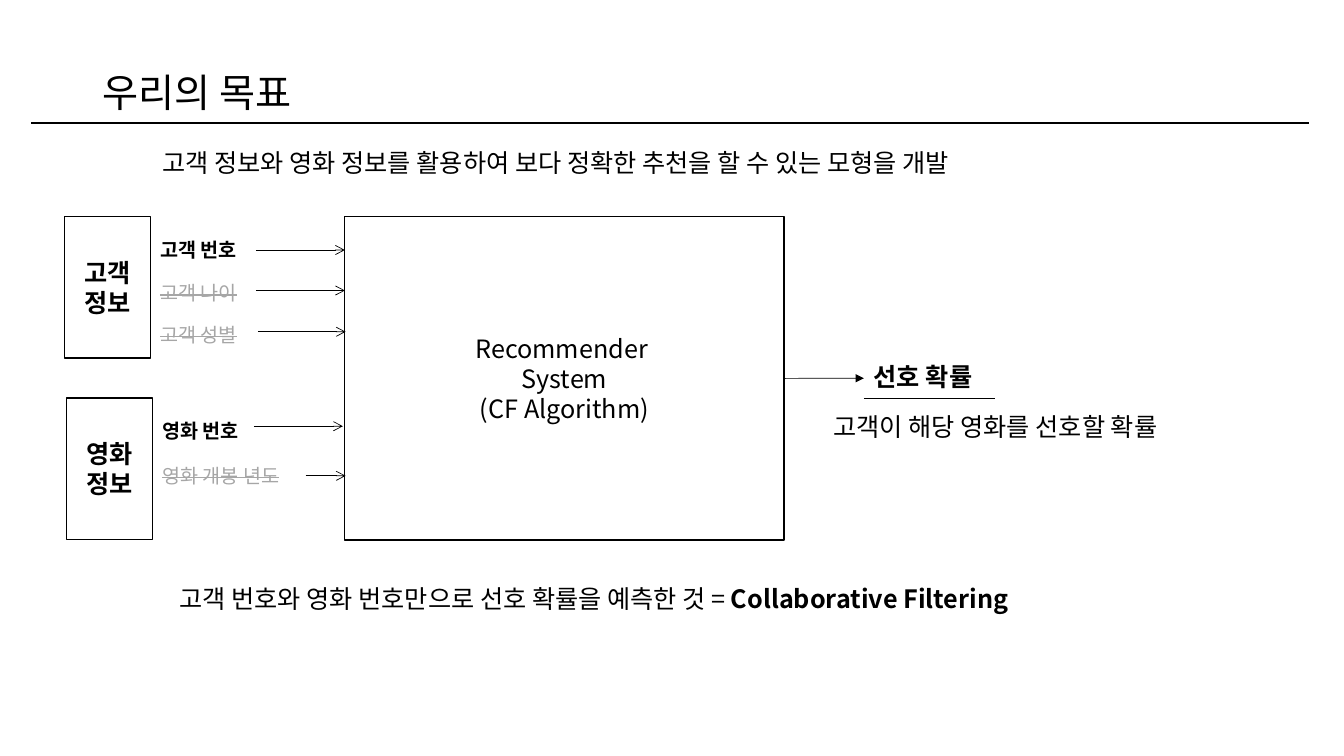
from lxml import etree
from pptx import Presentation
from pptx.dml.color import RGBColor
from pptx.enum import shapes, text
from pptx.oxml import ns
from pptx.util import Cm, Pt

FONT = "Noto Sans CJK KR"
BLACK = RGBColor(0x00, 0x00, 0x00)
GREY = RGBColor(0xA6, 0xA6, 0xA6)

INFO_WIDTH, INFO_HEIGHT = 2.16, 3.56
# box text, left, top, inputs: (label, label top, used, arrow start, arrow end, arrow y)
INFO_GROUPS = [
    ("고객\n정보", 1.63, 5.46, [
        ("고객 번호", 5.87, True, 6.45, 8.69, 6.3),
        ("고객 나이", 6.96, False, 6.45, 8.69, 7.32),
        ("고객 성별", 8.0, False, 6.5, 8.71, 8.36),
    ]),
    ("영화\n정보", 1.68, 10.03, [
        ("영화 번호", 10.44, True, 6.4, 8.64, 10.74),
        ("영화 개봉 년도", 11.56, False, 7.7, 8.71, 11.99),
    ]),
]


def add_run(paragraph, words, size=18, color=BLACK, bold=False, strike=False):
    run = paragraph.add_run()
    run.text = words
    font = run.font
    font.name, font.size, font.bold = FONT, Pt(size), bold
    font.color.rgb = color
    properties = run._r.get_or_add_rPr()
    etree.SubElement(properties, ns.qn("a:ea")).set("typeface", FONT)
    if strike:
        properties.set("strike", "sngStrike")


def write_text(frame, words, align=text.PP_ALIGN.LEFT, **style):
    """Write one paragraph for each line of words."""
    for index, line in enumerate(words.split("\n")):
        paragraph = frame.add_paragraph() if index else frame.paragraphs[0]
        paragraph.alignment = align
        add_run(paragraph, line, **style)


def add_label(slide, words, left, top, width, height=1.03, **style):
    shape = slide.shapes.add_textbox(Cm(left), Cm(top), Cm(width), Cm(height))
    frame = shape.text_frame
    frame.word_wrap = False
    frame.auto_size = text.MSO_AUTO_SIZE.SHAPE_TO_FIT_TEXT
    write_text(frame, words, **style)
    return shape


def add_box(slide, words, left, top, width, height, **style):
    shape = slide.shapes.add_shape(
        shapes.MSO_SHAPE.RECTANGLE, Cm(left), Cm(top), Cm(width), Cm(height))
    shape.shadow.inherit = False
    shape.fill.background()
    shape.line.color.rgb = BLACK
    shape.line.width = Pt(1)
    shape.text_frame.vertical_anchor = text.MSO_ANCHOR.MIDDLE
    write_text(shape.text_frame, words, align=text.PP_ALIGN.CENTER, **style)
    return shape


def add_line(slide, start, end, y, weight=0.5, head=None):
    """Draw a level line, with an arrowhead of type head at its end."""
    connector = slide.shapes.add_connector(
        shapes.MSO_CONNECTOR.STRAIGHT, Cm(start), Cm(y), Cm(end), Cm(y))
    connector.line.color.rgb = BLACK
    connector.line.width = Pt(weight)
    if head:
        outline = connector.line._get_or_add_ln()
        etree.SubElement(outline, ns.qn("a:tailEnd")).set("type", head)
    etree.SubElement(connector._element.spPr, ns.qn("a:effectLst"))
    return connector


def format_title(slide, words):
    title = slide.shapes.title
    title.left, title.top = Cm(2.34), Cm(1.02)
    title.width, title.height = Cm(29.21), Cm(2.03)
    frame = title.text_frame
    frame.vertical_anchor = text.MSO_ANCHOR.BOTTOM
    frame.auto_size = text.MSO_AUTO_SIZE.NONE
    write_text(frame, words, size=28)
    frame.paragraphs[0].line_spacing = 0.9


def add_info_group(slide, name, left, top, inputs):
    add_box(slide, name, left, top, INFO_WIDTH, INFO_HEIGHT, bold=True)
    for label, label_top, used, start, end, y in inputs:
        add_label(slide, label, left + INFO_WIDTH, label_top,
                  2.69 if len(label) < 6 else 3.86, 0.86, size=14,
                  color=BLACK if used else GREY, bold=used, strike=not used)
        add_line(slide, start, end, y, head="arrow")


def main():
    presentation = Presentation()
    presentation.slide_width, presentation.slide_height = Cm(33.87), Cm(19.05)
    slide = presentation.slides.add_slide(presentation.slide_layouts[5])

    add_line(slide, 0.79, 32.99, 3.1, weight=1.5)
    format_title(slide, "우리의 목표")
    add_label(slide, "고객 정보와 영화 정보를 활용하여 보다 정확한 추천을 할 수 있는 모형을 개발",
              3.84, 3.58, 23.34)

    recommender = add_box(slide, "Recommender \nSystem\n(CF Algorithm)",
                          8.69, 5.46, 11.07, 8.15)
    for group in INFO_GROUPS:
        add_info_group(slide, *group)

    output_arrow = add_line(slide, 19.76, 21.77, 9.53, head="triangle")
    output_arrow.begin_connect(recommender, 3)
    add_label(slide, "선호 확률", 21.77, 8.99, 3.3, bold=True)
    add_line(slide, 21.77, 25.07, 10.03)
    add_label(slide, "고객이 해당 영화를 선호할 확률", 20.75, 10.24, 9.75)

    conclusion = add_label(slide, "고객 번호와 영화 번호만으로 선호 확률을 예측한 것 = ",
                           4.27, 14.58, 23.24)
    add_run(conclusion.text_frame.paragraphs[0], "Collaborative Filtering", bold=True)

    presentation.save("out.pptx")


if __name__ == "__main__":
    main()
